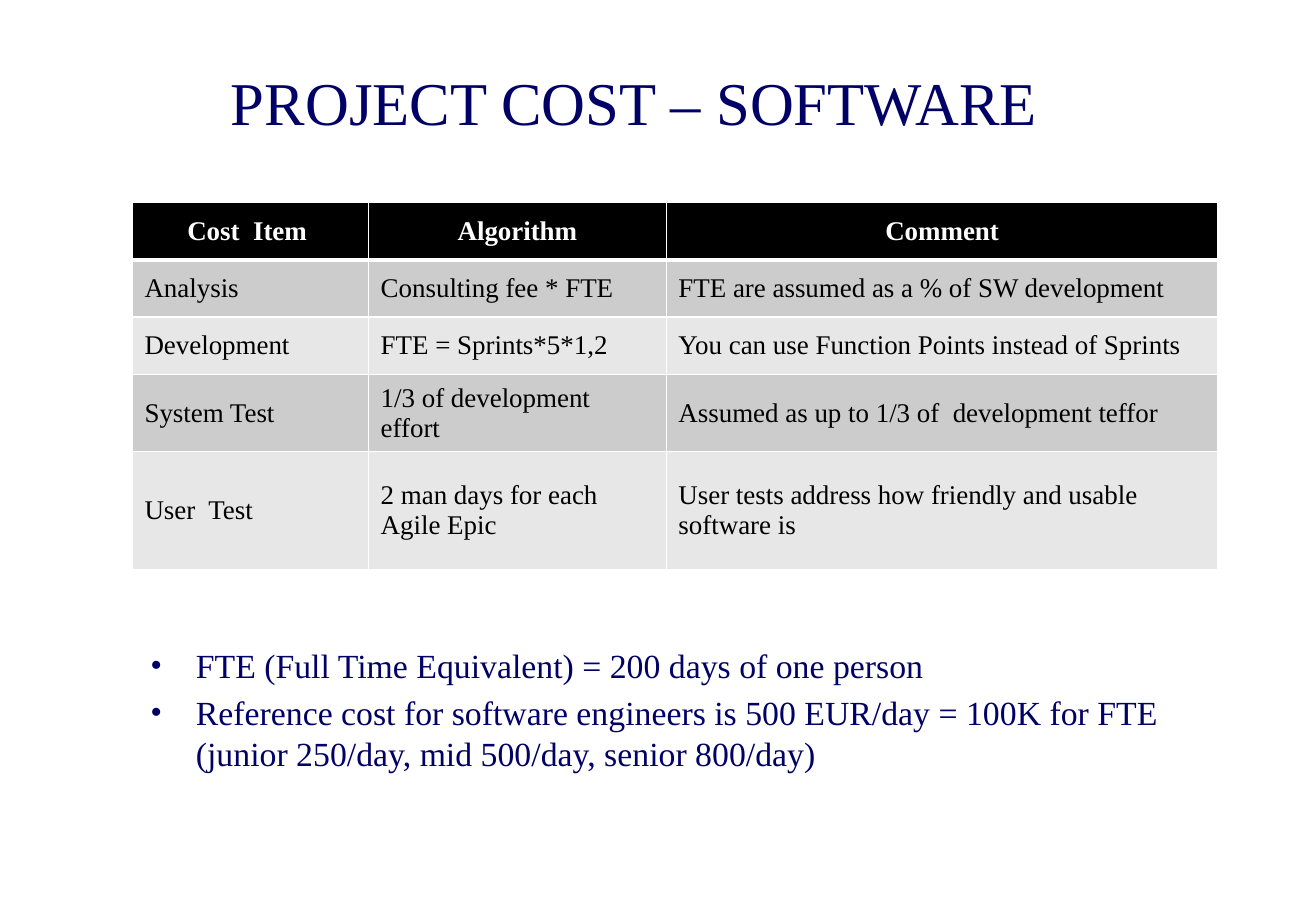
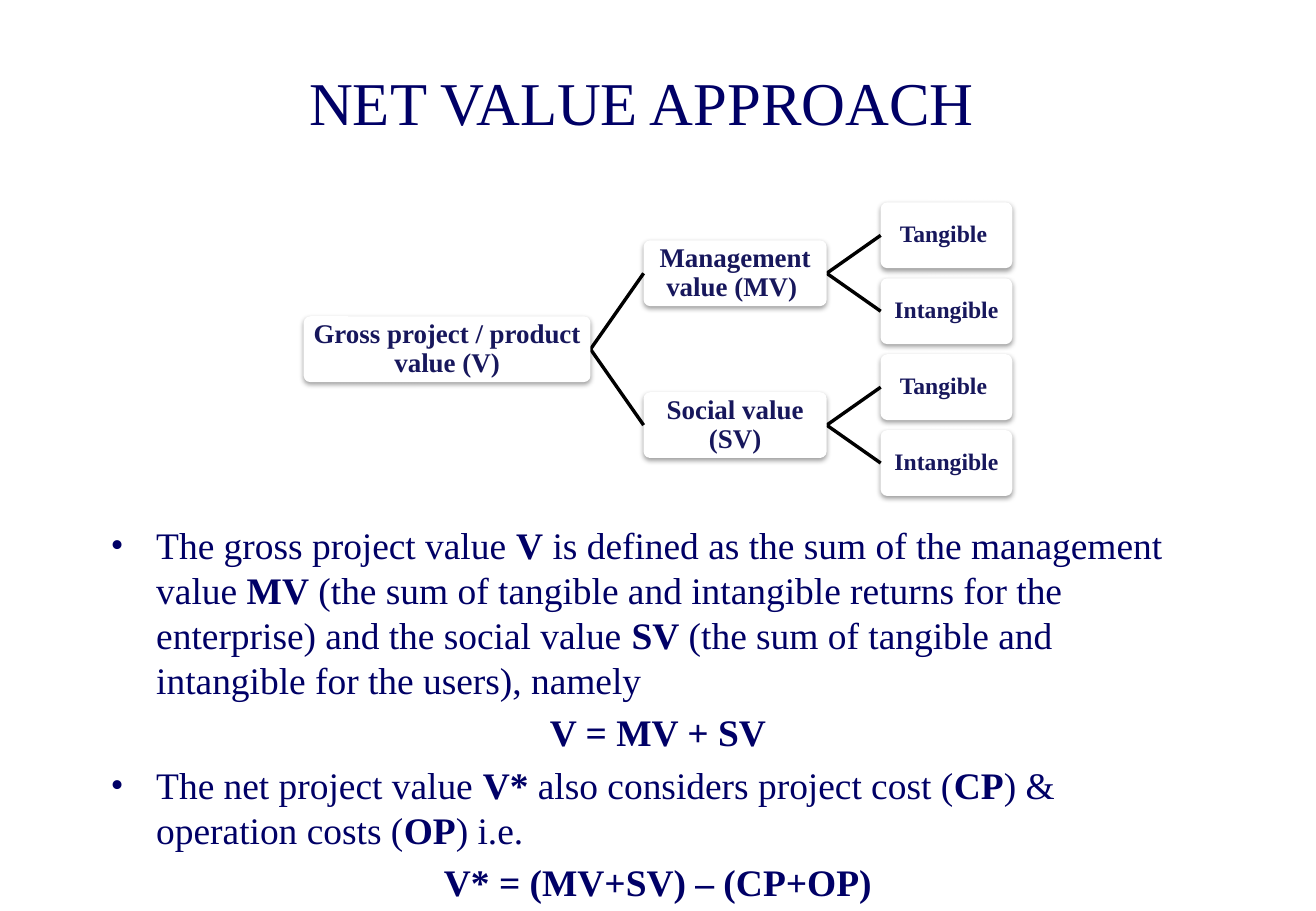
"""Build two slides on project cost and net value."""
from dataclasses import dataclass

from lxml import etree
from pptx import Presentation
from pptx import util as u
from pptx.dml.color import RGBColor
from pptx.enum import shapes, text
from pptx.oxml.ns import qn

NAVY = RGBColor(0x00, 0x00, 0x66)
INK = RGBColor(0x17, 0x17, 0x5C)
BLACK = RGBColor(0x00, 0x00, 0x00)
WHITE = RGBColor(0xFF, 0xFF, 0xFF)
DARK = RGBColor(0xCC, 0xCC, 0xCC)
LIGHT = RGBColor(0xE7, 0xE7, 0xE7)
FONT = "Times New Roman"
MIDDLE = text.MSO_ANCHOR.MIDDLE
CENTER = text.PP_ALIGN.CENTER
INDENT = 27


@dataclass(frozen=True)
class Box:
    left: float
    top: float
    width: float
    height: float

    def points(self) -> list:
        return [u.Pt(n) for n in (self.left, self.top, self.width, self.height)]


@dataclass(frozen=True)
class Para:
    words: str
    bullet: bool = True


@dataclass(frozen=True)
class Node:
    words: str
    kids: tuple = ()


@dataclass(frozen=True)
class Level:
    left: float
    width: float
    size: float


TITLE = Box(58.5, 24, 643.5, 72)
TABLE = Box(78.5, 120, 643.5, 206)
WIDTHS = (140, 176.5, 327)
HEIGHTS = (34, 34, 34, 34, 70)
ROWS = (
    ("Cost  Item ", "Algorithm", "Comment"),
    ("Analysis", "Consulting fee * FTE", "FTE are assumed as a % of SW development"),
    ("Development", "FTE = Sprints*5*1,2", "You can use Function Points instead of Sprints"),
    ("System Test", "1/3 of development effort", "Assumed as up to 1/3 of  development teffor"),
    ("User  Test", "2 man days for each Agile Epic",
     "User tests address how friendly and usable software is"),
)
NOTES = (
    Para("FTE (Full Time Equivalent) = 200 days of one person"),
    Para("Reference cost for software engineers is 500 EUR/day = 100K for FTE "
         "(junior 250/day, mid 500/day, senior 800/day)"),
)
VALUES = (
    Para("The gross project value |V| is defined as the sum of the management value |MV| "
         "(the sum of tangible and intangible returns for the enterprise) and the social "
         "value |SV| (the sum of tangible and intangible for the users), namely"),
    Para("|V = MV + SV|", False),
    Para("The net project value |V*| also considers project cost (|CP|) & operation costs "
         "(|OP|) i.e."),
    Para("|V* = (MV+SV) – (CP+OP)|", False),
)
LEAVES = (Node("Tangible "), Node("Intangible"))
TREE = Node("Gross project / product value (V)", (
    Node("Management value (MV) ", LEAVES),
    Node("Social value (SV)", LEAVES),
))
LEVELS = (Level(180, 170, 16), Level(381.5, 108.5, 16), Level(522, 78, 14))
TREE_TOP, NODE_HIGH, STEP = 120, 39, 45


def add_run(para, words: str, size: float, color: RGBColor, bold: bool = False) -> None:
    run = para.add_run()
    run.text = words
    font = run.font
    font.name, font.size, font.bold = FONT, u.Pt(size), bold
    font.color.rgb = color


def add_title(slide, words: str) -> None:
    frame = slide.shapes.add_textbox(*TITLE.points()).text_frame
    frame.word_wrap = True
    frame.vertical_anchor = MIDDLE
    para = frame.paragraphs[0]
    para.alignment = CENTER
    add_run(para, words, 36, NAVY)


def add_body(slide, box: Box, paras: tuple, size: float, anchor) -> None:
    frame = slide.shapes.add_textbox(*box.points()).text_frame
    frame.word_wrap = True
    frame.vertical_anchor = anchor
    for i, item in enumerate(paras):
        para = frame.add_paragraph() if i else frame.paragraphs[0]
        if i:
            para.space_before = u.Pt(size * 0.2)
        if item.bullet:
            props = para._p.get_or_add_pPr()
            props.set("marL", str(u.Pt(INDENT)))
            props.set("indent", str(-u.Pt(INDENT)))
            etree.SubElement(props, qn("a:buFont"), typeface=FONT)
            etree.SubElement(props, qn("a:buChar"), char="•")
        else:
            para.alignment = CENTER
        for k, part in enumerate(item.words.split("|")):
            if part:
                add_run(para, part, size, NAVY, k % 2 == 1)


def add_edges(cell, top: float, base: float) -> None:
    props = cell._tc.get_or_add_tcPr()
    sides = {"a:lnL": 1, "a:lnR": 1, "a:lnT": top, "a:lnB": base}
    for i, (tag, width) in enumerate(sides.items()):
        line = etree.Element(qn(tag), w=str(u.Pt(width)))
        fill = etree.SubElement(line, qn("a:solidFill"))
        etree.SubElement(fill, qn("a:srgbClr"), val=str(WHITE))
        props.insert(i, line)


def add_costs(slide) -> None:
    table = slide.shapes.add_table(len(ROWS), len(WIDTHS), *TABLE.points()).table
    for col, width in zip(table.columns, WIDTHS):
        col.width = u.Pt(width)
    for r, (row, high) in enumerate(zip(ROWS, HEIGHTS)):
        table.rows[r].height = u.Pt(high)
        head = r == 0
        for c, words in enumerate(row):
            cell = table.cell(r, c)
            cell.vertical_anchor = MIDDLE
            cell.fill.solid()
            cell.fill.fore_color.rgb = BLACK if head else DARK if r % 2 else LIGHT
            add_edges(cell, 3 if r == 1 else 1, 3 if head else 1)
            para = cell.text_frame.paragraphs[0]
            if head:
                para.alignment = CENTER
            add_run(para, words, 16, WHITE if head else BLACK, head)


def add_shade(shape) -> None:
    shape.shadow.inherit = False
    effects = shape.element.spPr.find(qn("a:effectLst"))
    shade = etree.SubElement(effects, qn("a:outerShdw"), blurRad=str(u.Pt(3.1)),
                             dist=str(u.Pt(1.6)), dir="5400000", rotWithShape="0")
    color = etree.SubElement(shade, qn("a:srgbClr"), val=str(BLACK))
    etree.SubElement(color, qn("a:alpha"), val="38000")


def add_node(slide, words: str, level: Level, mid: float) -> None:
    box = Box(level.left, mid - NODE_HIGH / 2, level.width, NODE_HIGH)
    shape = slide.shapes.add_shape(shapes.MSO_SHAPE.ROUNDED_RECTANGLE, *box.points())
    shape.adjustments[0] = 0.1
    shape.fill.solid()
    shape.fill.fore_color.rgb = WHITE
    shape.line.fill.background()
    add_shade(shape)
    frame = shape.text_frame
    frame.word_wrap = True
    frame.vertical_anchor = MIDDLE
    frame.margin_left = frame.margin_right = u.Pt(2)
    frame.margin_top = frame.margin_bottom = u.Pt(2)
    para = frame.paragraphs[0]
    para.alignment = CENTER
    para.line_spacing = 0.9
    add_run(para, words, level.size, INK, True)


def add_link(slide, left: float, start: float, right: float, end: float) -> None:
    ends = [u.Pt(n) for n in (left, start, right, end)]
    link = slide.shapes.add_connector(shapes.MSO_CONNECTOR.STRAIGHT, *ends)
    link.line.color.rgb = BLACK
    link.line.width = u.Pt(2)
    etree.SubElement(link.element.spPr, qn("a:effectLst"))


def count(node: Node) -> int:
    return sum(map(count, node.kids)) or 1


def add_tree(slide, node: Node, depth: int = 0, first: int = 0) -> float:
    level = LEVELS[depth]
    mid = TREE_TOP + NODE_HIGH / 2 + STEP * (first + (count(node) - 1) / 2)
    for kid in node.kids:
        end = add_tree(slide, kid, depth + 1, first)
        add_link(slide, level.left + level.width, mid, LEVELS[depth + 1].left, end)
        first += count(kid)
    add_node(slide, node.words, level, mid)
    return mid


def main() -> None:
    deck = Presentation()
    deck.slide_width, deck.slide_height = u.Pt(780), u.Pt(540)
    blank = deck.slide_layouts[6]

    cost = deck.slides.add_slide(blank)
    add_title(cost, "PROJECT COST – SOFTWARE ")
    add_costs(cost)
    add_body(cost, Box(82, 358, 635, 124.5), NOTES, 20, MIDDLE)

    value = deck.slides.add_slide(blank)
    add_title(value, "NET VALUE APPROACH")
    add_tree(value, TREE)
    add_body(value, Box(58.5, 306, 663, 213), VALUES, 22.2, text.MSO_ANCHOR.TOP)

    deck.save("out.pptx")


if __name__ == "__main__":
    main()
